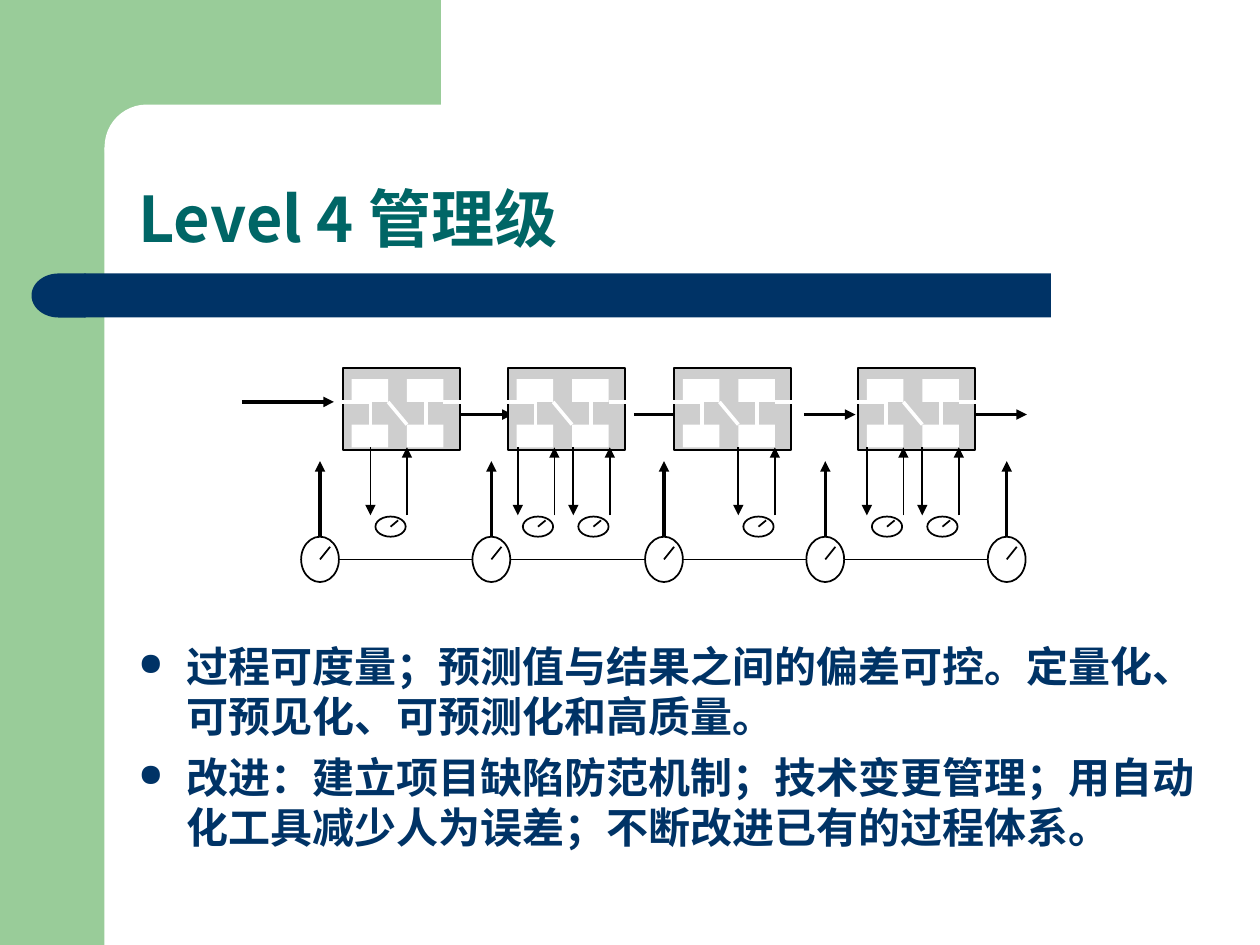
"""Build the Level 4 process maturity slide."""
from pptx import Presentation
from pptx.dml.color import RGBColor
from pptx.enum.shapes import MSO_CONNECTOR, MSO_SHAPE
from pptx.enum.text import MSO_ANCHOR
from pptx.oxml.ns import qn
from pptx.util import Inches, Pt
from lxml.etree import SubElement

GREEN = RGBColor(0x99, 0xCC, 0x99)
NAVY = RGBColor(0x00, 0x33, 0x66)
TEAL = RGBColor(0x00, 0x66, 0x66)
GREY = RGBColor(0xCE, 0xCE, 0xCE)
WHITE = RGBColor(0xFF, 0xFF, 0xFF)
BLACK = RGBColor(0x00, 0x00, 0x00)
HAN = "Noto Sans CJK SC"
HEAD = {"name": HAN, "size": Pt(36), "bold": True}
BODY = {"name": "Arial", "size": Pt(24), "bold": True}


class Pen:
    def __init__(self, slide):
        self.slide = slide
        self.shapes = slide.shapes

    def shape(self, kind, x, y, w, h, fill, edge=False):
        item = self.shapes.add_shape(kind, Inches(x), Inches(y), Inches(w), Inches(h))
        item.shadow.inherit = False
        item.fill.solid()
        item.fill.fore_color.rgb = fill
        if edge:
            item.line.color.rgb = BLACK
            item.line.width = Pt(1)
        else:
            item.line.fill.background()
        return item

    def line(self, x1, y1, x2, y2, width=1, color=BLACK, arrow=False):
        item = self.shapes.add_connector(
            MSO_CONNECTOR.STRAIGHT, Inches(x1), Inches(y1), Inches(x2), Inches(y2))
        item.line.color.rgb = color
        item.line.width = Pt(width)
        if arrow:
            SubElement(item.line._get_or_add_ln(), qn("a:tailEnd"), type="triangle")
        SubElement(item._element.spPr, qn("a:effectLst"))

    def text(self, x, y, w, h, lines, style, color, layout, bullet=False):
        box = self.shapes.add_textbox(Inches(x), Inches(y), Inches(w), Inches(h))
        frame = box.text_frame
        frame.word_wrap = True
        for i, words in enumerate(lines):
            para = frame.add_paragraph() if i else frame.paragraphs[0]
            for key, value in layout.items():
                setattr(para, key, value)
            if bullet:
                self.bullet(para, color)
            run = para.add_run()
            run.text = words
            for key, value in style.items():
                setattr(run.font, key, value)
            run.font.color.rgb = color
            SubElement(run._r.get_or_add_rPr(), qn("a:ea"), typeface=HAN)
        return frame

    def bullet(self, para, color):
        props = para._p.get_or_add_pPr()
        props.set("marL", str(Inches(0.38)))
        props.set("indent", str(-Inches(0.38)))
        tint = SubElement(props, qn("a:buClr"))
        SubElement(tint, qn("a:srgbClr"), val=str(color))
        SubElement(props, qn("a:buSzPct"), val="75000")
        SubElement(props, qn("a:buChar"), char="●")

    def card(self, x):
        self.shape(MSO_SHAPE.RECTANGLE, x, 2.92, 0.93, 0.65, GREY, True)
        for dx in (0.07, 0.51):
            for y in (3.01, 3.37):
                self.shape(MSO_SHAPE.RECTANGLE, x + dx, y, 0.29, 0.18, WHITE)
        for a, y1, b, y2 in ((-0.07, 3.19, 0.22, 3.19), (0.22, 3.19, 0.22, 3.37),
                             (0.36, 3.19, 0.51, 3.37), (0.66, 3.37, 0.66, 3.19),
                             (0.8, 3.19, 0.95, 3.19)):
            self.line(x + a, y1, x + b, y2, 2, WHITE)

    def dial(self, x, y, w, h, dx, dy):
        self.shape(MSO_SHAPE.OVAL, x - w / 2, y - h / 2, w, h, WHITE, True)
        self.line(x, y, x + dx, y - dy)

    def probe(self, x):
        self.dial(x + 0.16, 4.18, 0.24, 0.16, 0.06, 0.05)
        self.line(x, 3.55, x, 4.09, arrow=True)
        self.line(x + 0.29, 4.09, x + 0.29, 3.55, arrow=True)


def main():
    deck = Presentation()
    deck.slide_width, deck.slide_height = Inches(10), Inches(7.5)
    pen = Pen(deck.slides.add_slide(deck.slide_layouts[6]))

    pen.shape(MSO_SHAPE.RECTANGLE, 0, 0, 0.83, 7.5, GREEN)
    pen.shape(MSO_SHAPE.RECTANGLE, 0.75, 0, 2.75, 1.17, GREEN)
    curve = pen.shape(MSO_SHAPE.ROUNDED_RECTANGLE, 0.83, 0.83, 5.58, 0.67, WHITE)
    curve.adjustments[0] = 0.5
    pen.shape(MSO_SHAPE.RECTANGLE, 0.67, 2.17, 7.67, 0.35, NAVY)
    cap = pen.shape(MSO_SHAPE.FLOWCHART_DELAY, 0.25, 2.17, 0.43, 0.35, NAVY)
    cap.rotation = 180

    title = pen.text(1, 0.83, 8.75, 1.25, ["Level 4 管理级"], HEAD, TEAL,
                     {"line_spacing": 0.9})
    title.vertical_anchor = MSO_ANCHOR.BOTTOM
    pen.text(1, 5.04, 8.75, 2.09, [
        "过程可度量；预测值与结果之间的偏差可控。定量化、可预见化、可预测化和高质量。",
        "改进：建立项目缺陷防范机制；技术变更管理；用自动化工具减少人为误差；不断改进已有的过程体系。",
    ], BODY, NAVY, {"line_spacing": Pt(28.6), "space_before": Pt(6)}, True)

    pen.line(1.92, 3.19, 2.65, 3.19, 2, arrow=True)
    for x in (3.66, 5.03, 6.38, 7.74):
        pen.line(x, 3.29, x + 0.41, 3.29, 2, arrow=True)
    dials = (2.54, 3.9, 5.27, 6.55, 7.99)
    for x in dials:
        pen.line(x, 4.44, x, 3.66, 2, arrow=True)
    pen.line(dials[0], 4.44, dials[-1], 4.44)
    for x in dials:
        pen.dial(x, 4.44, 0.3, 0.36, 0.08, 0.1)
    for x in (2.72, 4.03, 5.35, 6.81):
        pen.card(x)
    for x in (2.94, 4.11, 4.55, 5.86, 6.88, 7.32):
        pen.probe(x)

    deck.save("out.pptx")


if __name__ == "__main__":
    main()
